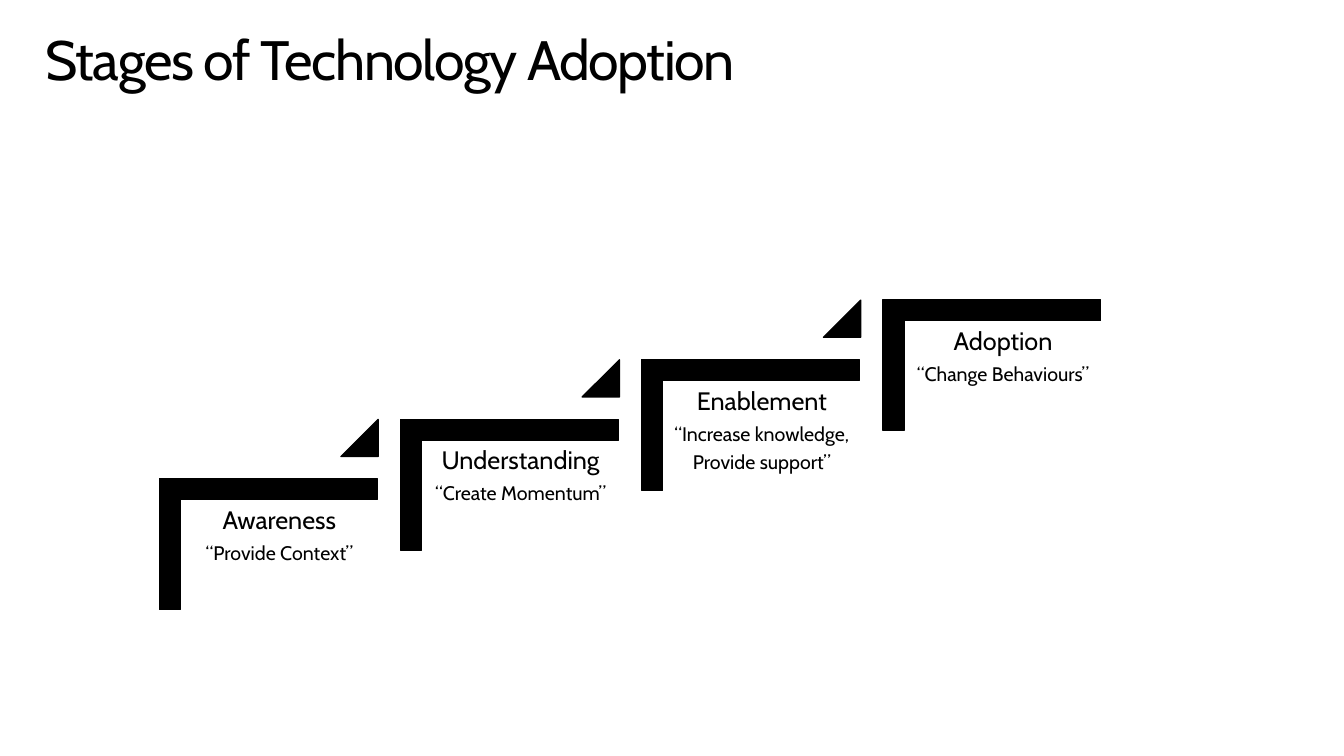
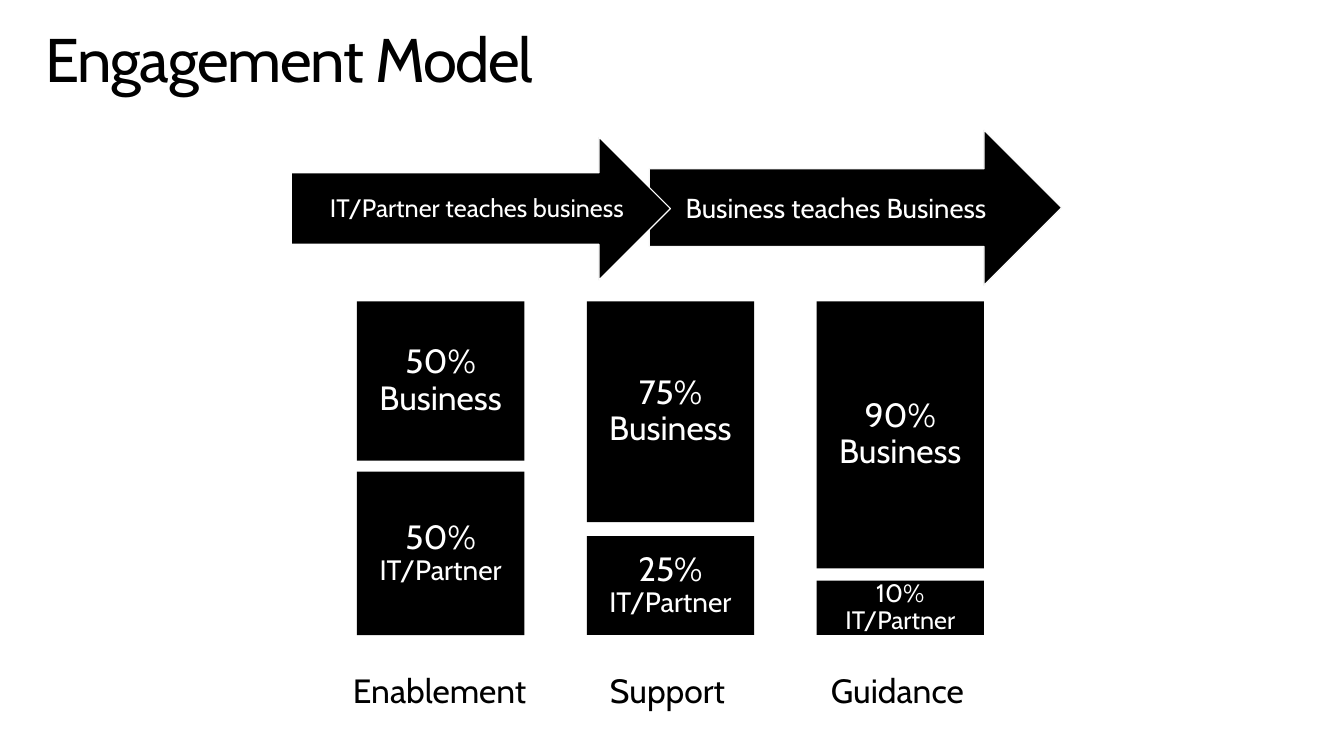
"""Build two slides on technology adoption and engagement."""
import pptx
import pptx.dml.color
import pptx.enum.shapes
import pptx.enum.text
import pptx.util

FONT = "Cabin"
INK = {"black": "000000", "white": "FFFFFF", "pale": "F8F8F8"}
FORM = pptx.enum.shapes.MSO_SHAPE
ALIGN = pptx.enum.text.PP_ALIGN
MID = pptx.enum.text.MSO_ANCHOR.MIDDLE
TOP = pptx.enum.text.MSO_ANCHOR.TOP

deck = pptx.Presentation()
deck.slide_width = pptx.util.Inches(13.33)
deck.slide_height = pptx.util.Inches(7.5)


def put(slide, form, x, y, wide, high, fill=None, line=None):
    """Place a shape, or a text box without a form, in percent of the slide."""
    spot = [int(deck.slide_width * x / 100), int(deck.slide_height * y / 100),
            int(deck.slide_width * wide / 100), int(deck.slide_height * high / 100)]
    if form is None:
        return slide.shapes.add_textbox(*spot)
    shape = slide.shapes.add_shape(form, *spot)
    shape.shadow.inherit = False
    shape.fill.solid()
    shape.fill.fore_color.rgb = pptx.dml.color.RGBColor.from_string(INK[fill])
    if line:
        shape.line.color.rgb = pptx.dml.color.RGBColor.from_string(INK[line])
        shape.line.width = pptx.util.Pt(0.85)
    else:
        shape.line.fill.background()
    return shape


def write(shape, paras, ink, pad, align=ALIGN.CENTER, anchor=MID, lead=0.9, after=0, wrap=True):
    """Fill a shape with paragraphs of (text, size) runs; after is a share of the size."""
    frame = shape.text_frame
    frame.word_wrap = wrap
    frame.vertical_anchor = anchor
    frame.margin_left = frame.margin_right = pptx.util.Inches(pad[0])
    frame.margin_top = frame.margin_bottom = pptx.util.Inches(pad[1])
    for row, runs in enumerate(paras):
        para = frame.add_paragraph() if row else frame.paragraphs[0]
        para.alignment = align
        para.line_spacing = lead
        para.space_after = pptx.util.Pt(round(runs[0][1] * after, 1))
        for text, size in runs:
            run = para.add_run()
            run.text = text
            run.font.name = FONT
            run.font.size = pptx.util.Pt(size)
            run.font.color.rgb = pptx.dml.color.RGBColor.from_string(INK[ink])


slides = []
for text, size in [("Stages of Technology Adoption", 39.6), ("Engagement Model", 44)]:
    slide = deck.slides.add_slide(deck.slide_layouts[6])
    title = put(slide, None, 2.18, 4.27, 95.65, 8.13)
    write(title, [[(text, size)]], "black", (0.16, 0.1), ALIGN.LEFT)
    title.text_frame.paragraphs[0].runs[0].font._element.set("spc", "-100")
    slides.append(slide)
stages, model = slides

steps = [
    ("Awareness", ["“Provide Context”"]),
    ("Understanding", ["“Create Momentum”"]),
    ("Enablement", ["“Increase knowledge,", "Provide support”"]),
    ("Adoption", ["“Change Behaviours”"]),
]
for col, (name, notes) in enumerate(steps):
    x = 15.08 + 17.95 * col
    y = 57.6 - 7.89 * col
    stair = put(stages, FORM.CORNER, x, y, 9.75, 28.8, "black", "black")
    stair.rotation = 90
    stair.adjustments[0] = stair.adjustments[1] = 0.16
    label = put(stages, None, x - 1.61, y + 8.6, 14.63, 22.8)
    paras = [[(name, 18)]] + [[(note, 14)] for note in notes]
    write(label, paras, "black", (0.07, 0.07), anchor=TOP, after=0.35)
    if col < len(steps) - 1:
        wedge = put(stages, FORM.ISOSCELES_TRIANGLE, x + 10.28, y - 2.13, 2.78, 4.93,
                    "black", "black")
        wedge.adjustments[0] = 1

later = put(model, FORM.RIGHT_ARROW, 48.31, 17.2, 30.68, 20.53, "black", "pale")
write(later, [[("Business teaches Business", 19.6)]], "white", (0.1, 0.05), lead=1)
put(model, FORM.RIGHT_ARROW, 21.68, 18.13, 28.21, 18.93, "black", "white")
first = put(model, None, 23.93, 22.93, 23.11, 9.47)
write(first, [[("IT/Partner teaches business", 18)]], "white", (0, 0.2), after=0.35)

roof, floor = 39.87, 84
phases = [
    ("Enablement", 24.76, 16.13, 60.93, 62.4, "50% Business", [("50% ", 24), ("IT/Partner", 20)]),
    ("Support", 43.89, 12.08, 69.07, 70.93, "75% Business", [("25% ", 24), ("IT/Partner", 20)]),
    ("Guidance", 60.32, 13.43, 75.2, 76.8, "90% Business", [("10% IT/Partner", 18)]),
]
for col, (name, left, wide, end, start, share, rest) in enumerate(phases):
    x = 26.56 + 17.1 * col
    for y, base, runs in [(roof, end, [(share, 24)]), (start, floor, rest)]:
        block = put(model, FORM.RECTANGLE, x, y, 12.45, base - y, "black")
        write(block, [runs], "white", (0.2, 0.16))
    label = put(model, None, left, 87.07, wide, 9.2)
    write(label, [[(name, 24)]], "black", (0.2, 0.16), ALIGN.LEFT, TOP, after=0.25, wrap=False)
    label.text_frame.auto_size = pptx.enum.text.MSO_AUTO_SIZE.SHAPE_TO_FIT_TEXT

deck.save("out.pptx")
